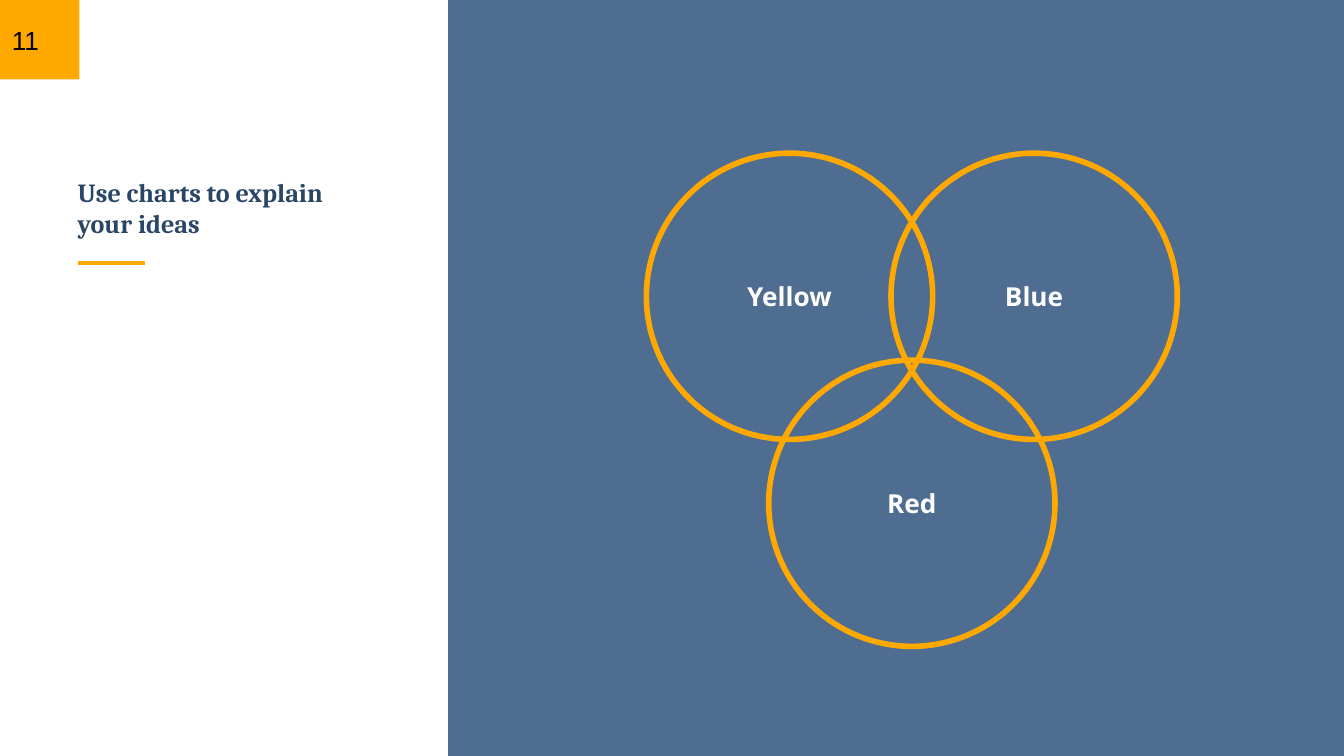
from lxml import etree
from pptx import Presentation
from pptx import util as u
from pptx.dml.color import RGBColor
from pptx.enum import shapes, text
from pptx.oxml.ns import qn

WIDTH = 10
HEIGHT = WIDTH * 9 / 16
AMBER, NAVY, BLUE, WHITE, BLACK = "FFA800", "294667", "325680", "FFFFFF", "000000"
HEADING = dict(name="Cambria", size=u.Pt(14), bold=True)
LABEL = dict(name="Open Sans", size=u.Pt(14), bold=True)
NUMBER = dict(name="Arial", size=u.Pt(14), bold=False)


def colour(target, value):
    target.rgb = RGBColor.from_string(value)


def inches(*lengths):
    return [u.Inches(length) for length in lengths]


def write(holder, words, style, ink, anchor, align=text.PP_ALIGN.LEFT):
    frame = holder.text_frame
    margins = {f"margin_{side}": u.Inches(0.1) for side in ("left", "top", "right", "bottom")}
    for key, value in dict(margins, word_wrap=True, vertical_anchor=anchor).items():
        setattr(frame, key, value)
    paragraph = frame.paragraphs[0]
    paragraph.alignment = align
    run = paragraph.add_run()
    run.text = words
    for key, value in style.items():
        setattr(run.font, key, value)
    colour(run.font.color, ink)


def add_form(slide, kind, box, fill=None, line=None):
    form = slide.shapes.add_shape(kind, *inches(*box))
    form.shadow.inherit = False
    if fill:
        form.fill.solid()
        colour(form.fill.fore_color, fill)
    else:
        form.fill.background()
    if line:
        colour(form.line.color, line)
        form.line.width = u.Pt(3)
    else:
        form.line.fill.background()
    return form


def add_panel(slide, box):
    panel = add_form(slide, shapes.MSO_SHAPE.RECTANGLE, box, fill=BLUE)
    tint = panel.fill._xPr.find(".//" + qn("a:srgbClr"))
    etree.SubElement(tint, qn("a:alpha"), val="86000")


def add_page_number(slide, box):
    left, top, width, height = box
    add_form(slide, shapes.MSO_SHAPE.RECTANGLE, box, fill=AMBER)
    number = slide.shapes.add_textbox(*inches(left - 0.01, top, width + 0.01, height))
    write(number, "11", NUMBER, BLACK, text.MSO_ANCHOR.MIDDLE)


def add_heading(slide, box):
    left, top, width, height = box
    title = slide.shapes.add_textbox(*inches(*box))
    write(title, "Use charts to explain your ideas", HEADING, NAVY, text.MSO_ANCHOR.BOTTOM)
    # Short rule, aligned with the words
    start, level = left + 0.1, top + height + 0.08
    rule = slide.shapes.add_connector(
        shapes.MSO_CONNECTOR.STRAIGHT, *inches(start, level, start + 0.5, level))
    colour(rule.line.color, AMBER)
    rule.line.width = u.Pt(2.25)
    etree.SubElement(rule._element.spPr, qn("a:effectLst"))


def add_venn(slide, box, diameter):
    left, top, width, height = box
    across, down = (width - diameter) / 2, height - diameter
    # Two circles above, one centred below
    for name, column, row in (("Yellow", 0, 0), ("Red", 1, 1), ("Blue", 2, 0)):
        place = (left + column * across, top + row * down, diameter, diameter)
        circle = add_form(slide, shapes.MSO_SHAPE.OVAL, place, line=AMBER)
        write(circle, name, LABEL, WHITE, text.MSO_ANCHOR.MIDDLE, text.PP_ALIGN.CENTER)


def main():
    deck = Presentation()
    deck.slide_width, deck.slide_height = inches(WIDTH, HEIGHT)
    slide = deck.slides.add_slide(deck.slide_layouts[6])
    third = WIDTH / 3
    add_panel(slide, (third, 0, 2 * third, HEIGHT))
    add_page_number(slide, (0, 0, 0.59, 0.59))
    add_heading(slide, (0.48, 1.14, 2.35, 0.74))
    add_venn(slide, (4.81, 1.14, 3.95, 3.67), 2.13)
    deck.save("out.pptx")


if __name__ == "__main__":
    main()
